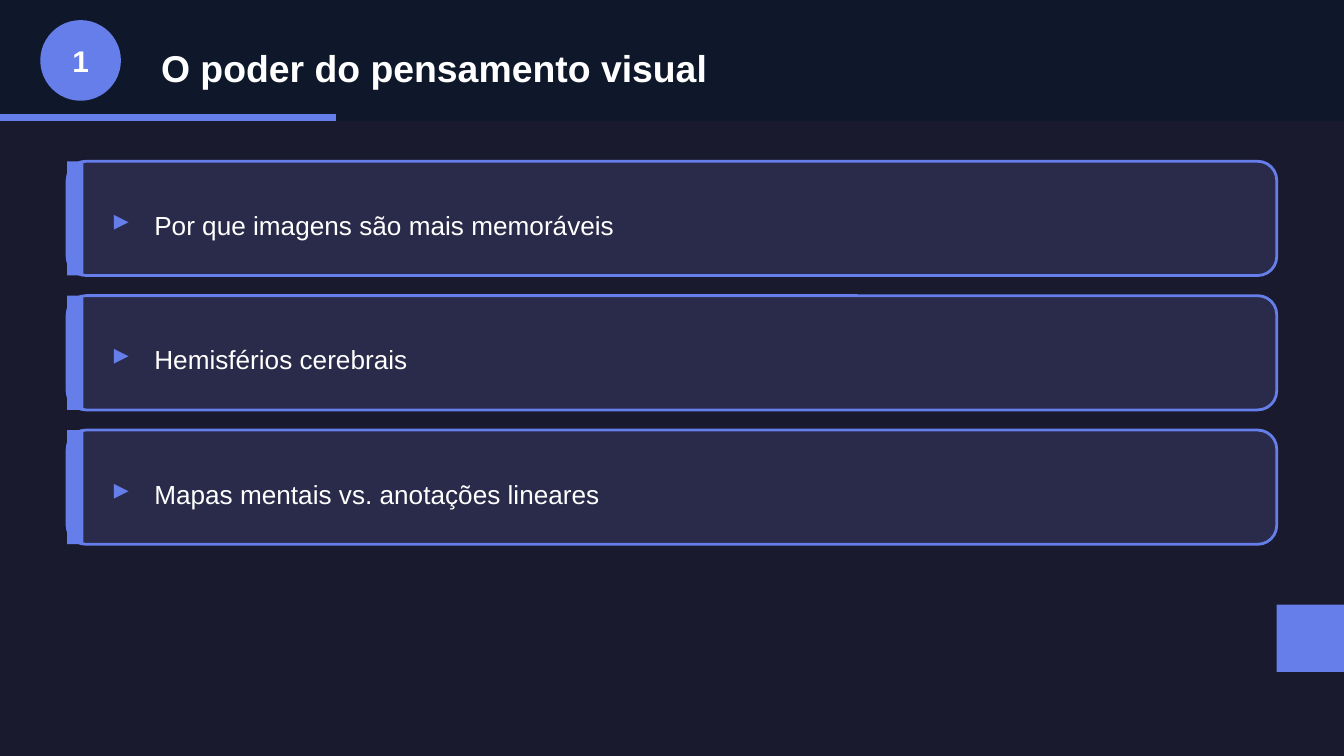
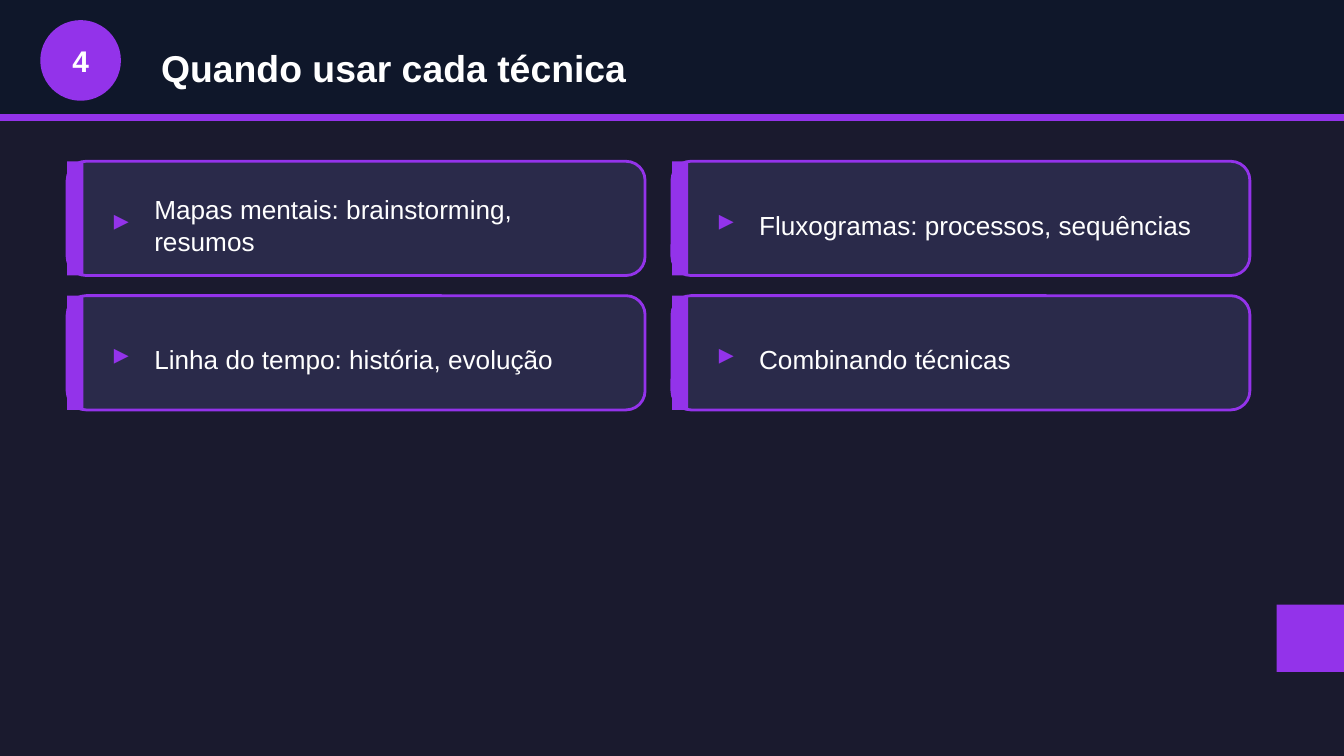
import pptx
import pptx.util
import pptx.dml.color
import pptx.enum.shapes
import pptx.enum.text

Pt = pptx.util.Pt
Kind = pptx.enum.shapes.MSO_SHAPE
Align = pptx.enum.text.PP_ALIGN

TOPICS = [
    {"num": 1, "hue": "blue", "cols": 1, "title": "O poder do pensamento visual",
     "cards": ["Por que imagens são mais memoráveis",
               "Hemisférios cerebrais",
               "Mapas mentais vs. anotações lineares"]},
    {"num": 4, "hue": "purple", "cols": 2, "title": "Quando usar cada técnica",
     "cards": ["Mapas mentais: brainstorming, resumos",
               "Fluxogramas: processos, sequências",
               "Linha do tempo: história, evolução",
               "Combinando técnicas"]},
]
TOTAL = 4  # topics in the whole course, for the progress bar

COLORS = {"back": "1A1A2E", "band": "0F172A", "card": "2A2A4A",
          "white": "FFFFFF", "blue": "667EEA", "purple": "9333EA"}
FONTS = {
    "badge": {"name": "Arial", "size": Pt(16), "bold": True},
    "title": {"name": "Arial", "size": Pt(20), "bold": True},
    "arrow": {"name": "Arial", "size": Pt(16), "bold": True},
    "body": {"name": "Arial", "size": Pt(14), "bold": False},
}

WIDE, HIGH = 720, 405
BAND, BAR = 64.8, 3.6
LEFT, TOP = 36, 86.4
CARD_H, ROW = 61.2, 72
CARD_W = {1: 648, 2: 309.6}
COL = 324


def rgb(name):
    return pptx.dml.color.RGBColor.from_string(COLORS[name])


def draw(slide, kind, box, fill, line=None):
    shape = slide.shapes.add_shape(kind, *map(Pt, box))
    shape.shadow.inherit = False
    shape.fill.solid()
    shape.fill.fore_color.rgb = rgb(fill)
    if line:
        shape.line.color.rgb = rgb(line)
        shape.line.width = Pt(1.5)
    else:
        shape.line.fill.background()


def write(slide, box, text, style, color="white", align=Align.LEFT):
    frame = slide.shapes.add_textbox(*map(Pt, box)).text_frame
    frame.word_wrap = True
    frame.vertical_anchor = pptx.enum.text.MSO_ANCHOR.MIDDLE
    para = frame.paragraphs[0]
    para.alignment = align
    run = para.add_run()
    run.text = text
    for key, value in FONTS[style].items():
        setattr(run.font, key, value)
    run.font.color.rgb = rgb(color)


def head(slide, topic):
    hue = topic["hue"]
    draw(slide, Kind.RECTANGLE, (0, 0, WIDE, BAND), "band")
    done = WIDE * topic["num"] / TOTAL
    draw(slide, Kind.RECTANGLE, (0, BAND - BAR, done, BAR), hue)
    draw(slide, Kind.OVAL, (21.6, 10.8, 43.2, 43.2), hue)
    write(slide, (21.6, 18, 43.2, 28.8), str(topic["num"]), "badge", align=Align.CENTER)
    write(slide, (79.2, 18, 612, 36), topic["title"], "title")


def card(slide, x, y, width, text, hue):
    draw(slide, Kind.ROUNDED_RECTANGLE, (x, y, width, CARD_H), "card", hue)
    draw(slide, Kind.RECTANGLE, (x, y, 8.64, CARD_H), hue)
    write(slide, (x + 18, y + 18, 21.6, 25.2), "▸", "arrow", hue)
    write(slide, (x + 39.6, y + 18, width - 57.6, 32.4), text, "body")


def build(deck, topic):
    slide = deck.slides.add_slide(deck.slide_layouts[6])
    slide.background.fill.solid()
    slide.background.fill.fore_color.rgb = rgb("back")
    head(slide, topic)
    cols = topic["cols"]
    for i, text in enumerate(topic["cards"]):
        row, col = divmod(i, cols)
        card(slide, LEFT + col * COL, TOP + row * ROW, CARD_W[cols], text, topic["hue"])
    draw(slide, Kind.RECTANGLE, (WIDE - 36, 324, 36, 36), topic["hue"])


def main():
    deck = pptx.Presentation()
    deck.slide_width, deck.slide_height = Pt(WIDE), Pt(HIGH)
    for topic in TOPICS:
        build(deck, topic)
    deck.save("out.pptx")


if __name__ == "__main__":
    main()
